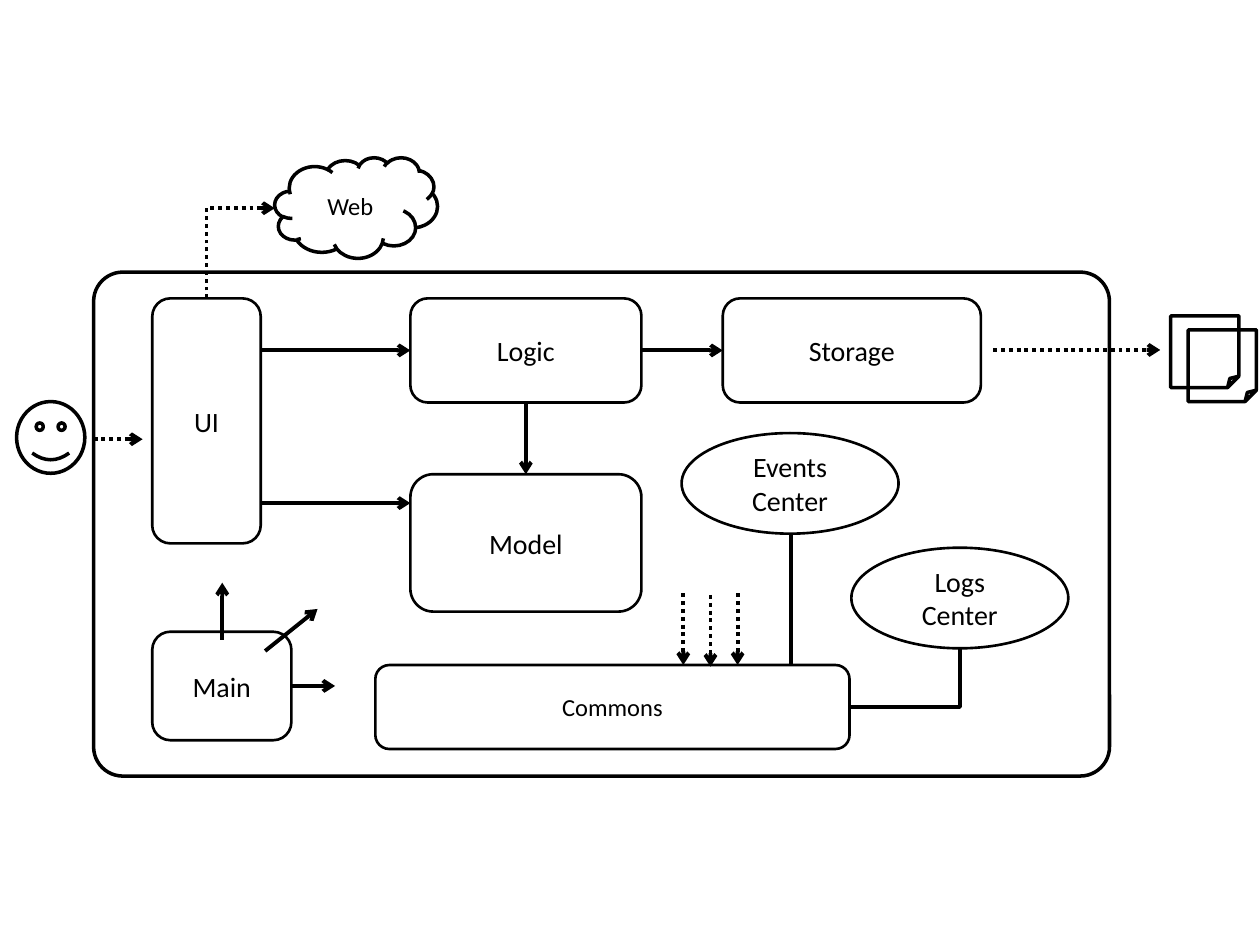
from dataclasses import dataclass

from lxml.etree import SubElement
from pptx import Presentation
from pptx.dml.color import RGBColor
from pptx.enum.dml import MSO_LINE
from pptx.enum.shapes import MSO_CONNECTOR, MSO_SHAPE
from pptx.enum.text import MSO_ANCHOR, PP_ALIGN
from pptx.oxml.ns import qn
from pptx.util import Pt


@dataclass(frozen=True)
class Theme:
    ink: RGBColor = RGBColor(0, 0, 0)
    font: str = "Calibri"
    label: int = 16
    small_label: int = 14
    thin: float = 1.5
    outline: float = 2
    arrow: float = 2.25


THEME = Theme()
COMPONENT = MSO_SHAPE.ROUNDED_RECTANGLE


def add_outline(slide, kind, box, width=THEME.outline):
    outline = slide.shapes.add_shape(kind, *map(Pt, box))
    outline.shadow.inherit = False
    outline.fill.background()
    outline.line.color.rgb = THEME.ink
    outline.line.width = Pt(width)
    return outline


def add_labelled(slide, kind, text, box, size=THEME.label, width=THEME.thin):
    node = add_outline(slide, kind, box, width)
    frame = node.text_frame
    frame.word_wrap = True
    frame.vertical_anchor = MSO_ANCHOR.MIDDLE
    frame.text = text
    paragraph = frame.paragraphs[0]
    paragraph.alignment = PP_ALIGN.CENTER
    paragraph.font.name = THEME.font
    paragraph.font.size = Pt(size)
    paragraph.font.color.rgb = THEME.ink
    return node


def add_link(slide, start, end, dotted=False, arrow=True, kind=MSO_CONNECTOR.STRAIGHT):
    link = slide.shapes.add_connector(kind, *map(Pt, (*start, *end)))
    link.line.color.rgb = THEME.ink
    link.line.width = Pt(THEME.arrow)
    if dotted:
        link.line.dash_style = MSO_LINE.ROUND_DOT
    properties = link._element.spPr
    if arrow:
        SubElement(properties.find(qn("a:ln")), qn("a:tailEnd"), type="arrow")
    SubElement(properties, qn("a:effectLst"))
    return link


def add_elbow(slide, start, end, dotted=False, arrow=True):
    (x1, y1), (x2, y2) = start, end
    mid_x, mid_y = (x1 + x2) / 2, (y1 + y2) / 2
    half_x, half_y = (x2 - x1) / 2, (y2 - y1) / 2
    elbow = add_link(
        slide,
        (mid_x - half_y, mid_y + half_x),
        (mid_x + half_y, mid_y - half_x),
        dotted,
        arrow,
        MSO_CONNECTOR.ELBOW,
    )
    properties = elbow._element.spPr
    properties.find(qn("a:xfrm")).set("rot", str(90 * 60000))
    properties.find(qn("a:prstGeom")).set("prst", "bentConnector2")


def add_components(slide):
    ui = add_labelled(slide, COMPONENT, "UI", (87, 170.5, 62, 140))
    logic = add_labelled(slide, COMPONENT, "Logic", (234.5, 170.5, 132, 59.5))
    storage = add_labelled(slide, COMPONENT, "Storage", (413, 170.5, 147.5, 59.5))
    model = add_labelled(slide, COMPONENT, "Model", (234.5, 271, 132, 78.5))
    add_labelled(slide, COMPONENT, "Commons", (214.5, 380, 271, 48), THEME.small_label)
    main_box = add_labelled(slide, COMPONENT, "Main", (87, 361, 79.5, 62))

    ui_edge = (ui.left + ui.width).pt if hasattr(ui.left + ui.width, "pt") else 149
    add_link(slide, (ui_edge, 200.25), (234.5, 200.25)).end_connect(logic, 1)
    add_link(slide, (ui_edge, 287.5), (234.5, 287.5))
    for source, source_side, target, target_side in (
        (logic, 2, model, 0),
        (logic, 3, storage, 1),
    ):
        call = add_link(slide, (0, 0), (1, 1))
        call.begin_connect(source, source_side)
        call.end_connect(target, target_side)

    add_link(slide, (166.5, 392), (191.5, 392)).begin_connect(main_box, 3)
    add_link(slide, (151.5, 372), (181.5, 348))
    add_link(slide, (127, 365.5), (127, 333))


def add_outside_world(slide):
    add_outline(slide, MSO_SHAPE.SMILEY_FACE, (9.5, 229.5, 39, 41))
    add_link(slide, (53.5, 251), (81.5, 251), dotted=True)
    add_link(slide, (567.5, 200), (663, 200), dotted=True)
    for left, top in ((669, 180.5), (679, 188.5)):
        add_outline(slide, MSO_SHAPE.FOLDED_CORNER, (left, top, 39, 41))
    add_labelled(slide, MSO_SHAPE.CLOUD, "Web", (157, 90, 93, 57.5),
                 THEME.small_label, THEME.outline)
    add_elbow(slide, (118, 170.5), (157, 119), dotted=True)


def add_shared_services(slide):
    for x, top in ((390.5, 339), (406, 340), (421.5, 339)):
        add_link(slide, (x, top), (x, top + 41), dotted=True)
    for text, left, top in (("Events Center", 389.5, 247.5), ("Logs\vCenter", 486.5, 313)):
        add_labelled(slide, MSO_SHAPE.OVAL, text, (left, top, 124, 57.5))
    add_elbow(slide, (548.5, 370.5), (485.5, 404), arrow=False)
    add_link(slide, (452, 305), (452, 380.5), arrow=False)


def main():
    presentation = Presentation()
    presentation.slide_width, presentation.slide_height = Pt(720), Pt(540)
    slide = presentation.slides.add_slide(presentation.slide_layouts[6])
    system = add_outline(slide, COMPONENT, (53.5, 155.5, 580.5, 288))
    system.adjustments[0] = 0.058
    add_components(slide)
    add_outside_world(slide)
    add_shared_services(slide)
    presentation.save("out.pptx")


if __name__ == "__main__":
    main()
